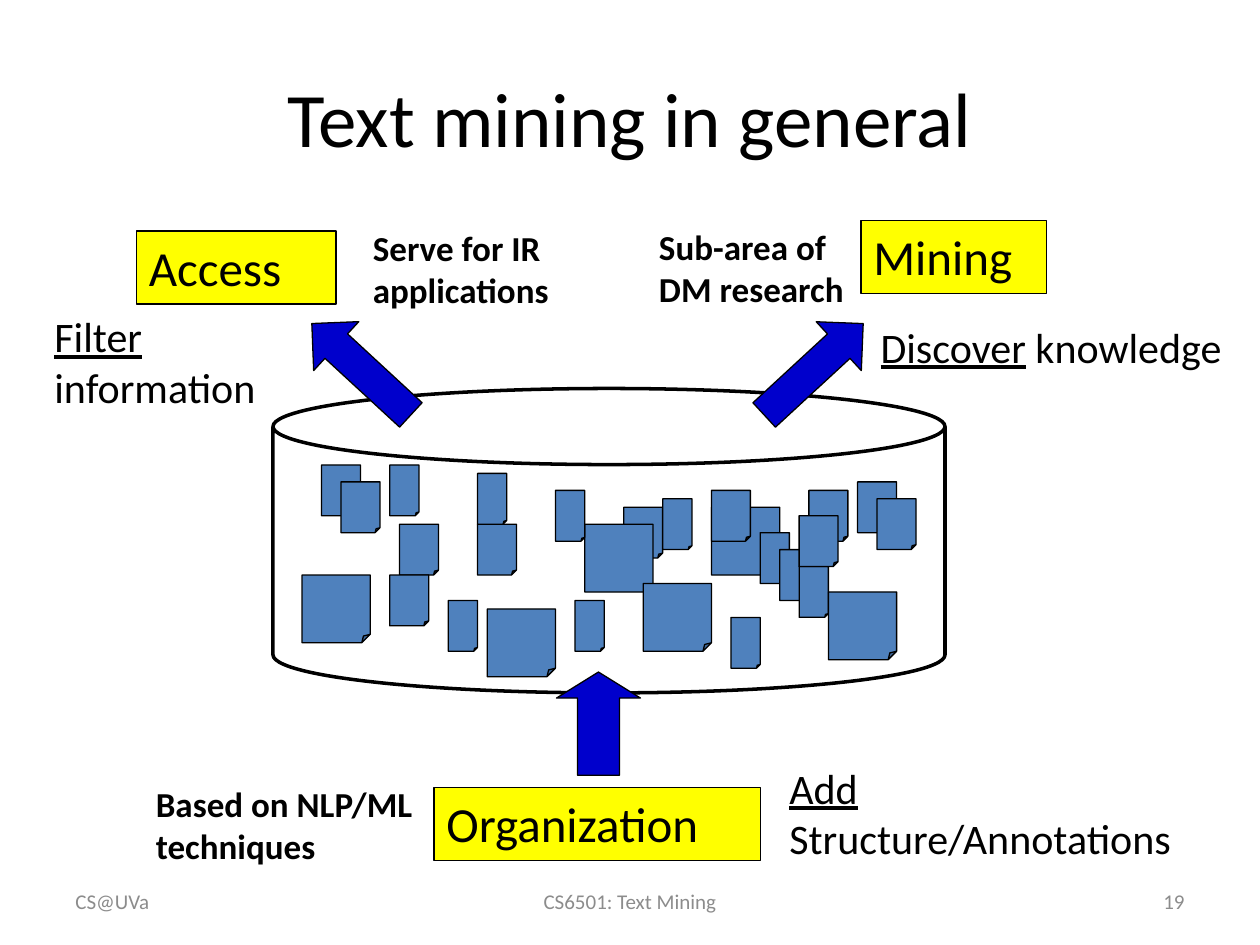
from dataclasses import dataclass

from pptx import Presentation, util as u
from pptx.dml.color import RGBColor
from pptx.enum import shapes, text

Pt = u.Pt
Kind = shapes.MSO_SHAPE
Side = text.PP_ALIGN
Anchor = text.MSO_ANCHOR


@dataclass(frozen=True)
class Theme:
    font: str = "Calibri"
    ink: str = "000000"
    gray: str = "8C8C8C"
    label: str = "FFFF00"
    arrow: str = "0000CC"
    paper: str = "4F81BD"
    title: int = 44
    name: int = 28
    task: int = 24
    note: int = 20
    foot: int = 12
    thin: float = 0.75
    thick: float = 2


T = Theme()


def color(code):
    return RGBColor.from_string(code)


def place(box, x, y, w, h):
    """Shift an area by the corner of its region."""
    return box[0] + x, box[1] + y, w, h


def write(shape, lines, size, ink=T.ink, bold=False, align=Side.LEFT,
          anchor=Anchor.TOP):
    """Fill a shape with lines; each line is a list of (words, underlined)."""
    frame = shape.text_frame
    frame.word_wrap = True
    frame.vertical_anchor = anchor
    for i, line in enumerate(lines):
        para = frame.add_paragraph() if i else frame.paragraphs[0]
        para.alignment = align
        font = para.font
        font.name, font.size, font.bold = T.font, Pt(size), bold
        font.color.rgb = color(ink)
        for words, under in line:
            run = para.add_run()
            run.text = words
            if under:
                run.font.underline = True


def add_text(slide, area, lines, size, **style):
    write(slide.shapes.add_textbox(*map(Pt, area)), lines, size, **style)


def add_shape(slide, kind, area, fill=None, width=T.thin):
    shape = slide.shapes.add_shape(kind, *map(Pt, area))
    shape.shadow.inherit = False
    if fill:
        shape.fill.solid()
        shape.fill.fore_color.rgb = color(fill)
    else:
        shape.fill.background()
    shape.line.color.rgb = color(T.ink)
    shape.line.width = Pt(width)
    return shape


def add_title(slide, box):
    add_text(slide, box, [[("Text mining in general", False)]], T.title,
             align=Side.CENTER, anchor=Anchor.MIDDLE)


def add_foot(slide, box):
    parts = [
        (0, 168, "CS@UVa", Side.LEFT),
        (210, 228, "CS6501: Text Mining", Side.CENTER),
        (480, 168, "19", Side.RIGHT),
    ]
    for x, w, words, align in parts:
        add_text(slide, place(box, x, 0, w, box[3]), [[(words, False)]],
                 T.foot, ink=T.gray, align=align, anchor=Anchor.MIDDLE)


# Paper sizes in grid cells
SMALL, MEDIUM, LARGE = (3, 6), (4, 6), (7, 8)

# Papers from back to front: size, then (column, row) of each corner
PAPERS = [
    (MEDIUM, [(2, 0), (4, 2), (10, 7), (9, 13), (18, 7), (33, 5)]),
    (LARGE, [(42, 5), (19, 17), (29, 7), (0, 13), (35, 14)]),
    (SMALL, [(26, 3), (37, 4), (18, 1), (9, 0), (44, 18), (28, 16),
             (47, 8), (49, 10), (51, 12), (15, 16)]),
    (MEDIUM, [(52, 3), (42, 3), (57, 2), (59, 4), (51, 6)]),
    (LARGE, [(54, 15)]),
]


def add_store(slide, box):
    """Draw the can and the papers on its grid."""
    add_shape(slide, Kind.CAN, box, width=T.thick)
    dx, dy = 5.57, 4.84
    for (w, h), spots in PAPERS:
        for col, row in spots:
            area = place(box, 16.6 + col * dx, 43.7 + row * dy, w * dx, h * dy)
            paper = add_shape(slide, Kind.FOLDED_CORNER, area, T.paper)
            # The library lists no adjustment for this shape's fold
            paper._element.spPr.prstGeom.rewrite_guides([("adj", 12500)])


def add_stage(slide, box, name, label, arrow, task, note):
    """Draw a label, its arrow, its task and its note within a region."""
    tag = add_shape(slide, Kind.RECTANGLE, place(box, *label), T.label)
    write(tag, [[(name, False)]], T.name)

    kind, area, turn, head = arrow
    arm = add_shape(slide, kind, place(box, *area), T.arrow)
    arm.rotation = turn
    arm.adjustments[0], arm.adjustments[1] = 0.5, head

    area, lines = task
    add_text(slide, place(box, *area), lines, T.task)
    area, words = note
    add_text(slide, place(box, *area), [[(words, False)]], T.note, bold=True)


def main():
    deck = Presentation()
    deck.slide_width, deck.slide_height = Pt(720), Pt(540)
    slide = deck.slides.add_slide(deck.slide_layouts[6])

    add_title(slide, (36, 21.6, 648, 90))
    add_foot(slide, (36, 500.5, 648, 28.8))
    add_store(slide, (156, 222, 384, 174))

    # Access, top left
    add_stage(
        slide, (24, 126, 314, 120), "Access",
        label=(54, 6, 114, 41.8),
        arrow=(Kind.LEFT_ARROW, (144, 66, 77, 38), 42.7, 0.5),
        task=((0, 48, 134.6, 65.5),
              [[("Filter", True)], [("information", False)]]),
        note=((182, 0, 131.8, 55.4), "Serve for IR applications"))

    # Mining, top right
    add_stage(
        slide, (369.5, 126, 358.5, 108), "Mining",
        label=(122.5, 0, 106, 41.8),
        arrow=(Kind.RIGHT_ARROW, (57, 66, 77, 38), 317.3, 0.5),
        task=((126.6, 54, 231.8, 36),
              [[("Discover", True), (" knowledge", False)]]),
        note=((0, -0.7, 131.8, 55.4), "Sub-area of DM research"))

    # Organization, bottom
    add_stage(
        slide, (82, 384, 608, 115), "Organization",
        label=(166, 66, 186.5, 41.8),
        arrow=(Kind.RIGHT_ARROW, (230.5, 5.5, 59, 48), 270, 0.31),
        task=((362, 48, 245.5, 65),
              [[("Add", True)], [("Structure/Annotations", False)]]),
        note=((0, 59.5, 165.6, 55.4), "Based on NLP/ML techniques"))

    deck.save("out.pptx")


if __name__ == "__main__":
    main()
